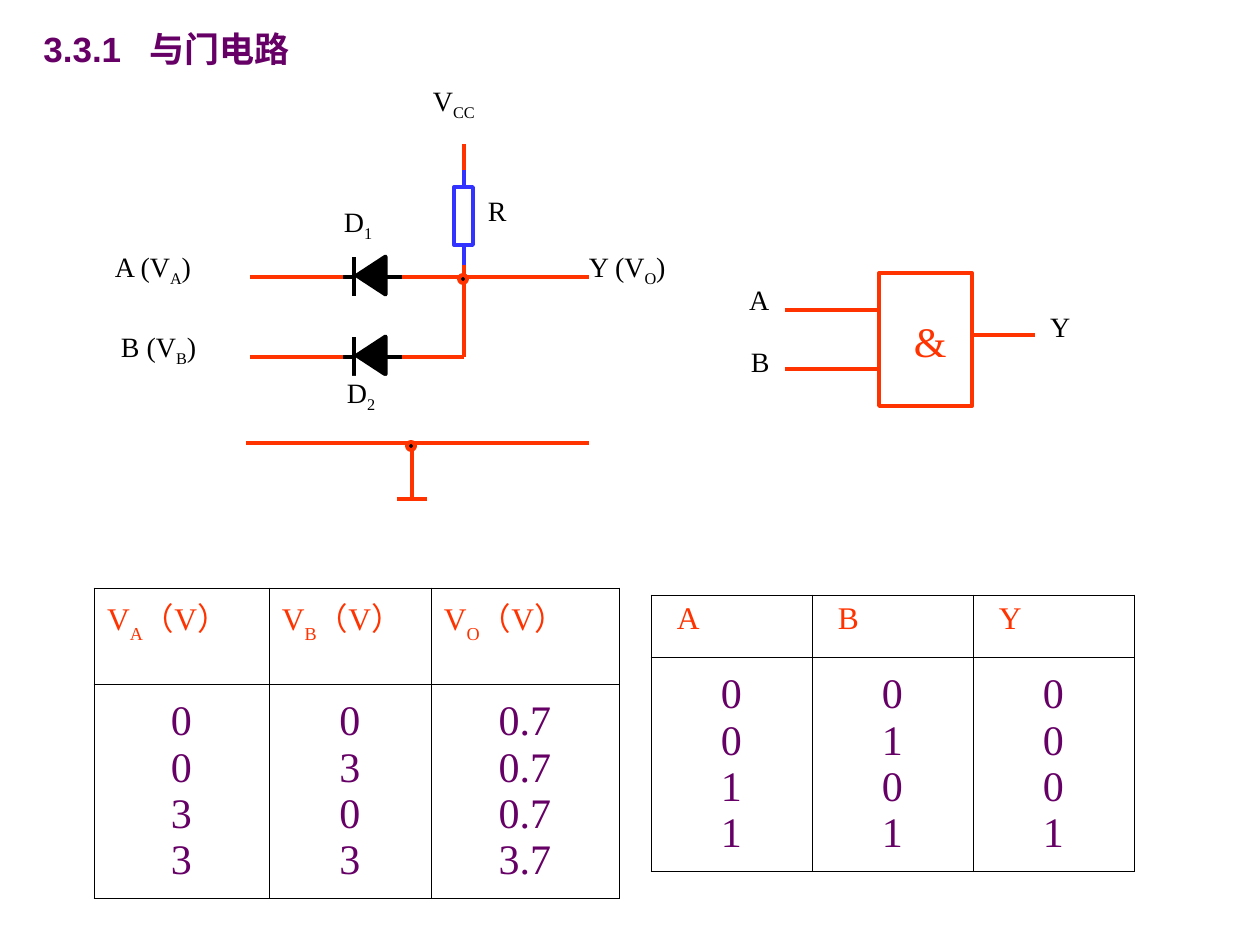
from lxml import etree
from pptx import Presentation
from pptx import util as u
from pptx.dml import color
from pptx.enum import shapes, text
from pptx.oxml import ns

PX = 914400 / 126
RED, BLUE, BLACK, WHITE, PLUM = "FF3300", "3333FF", "000000", "FFFFFF", "660066"
KIND = shapes.MSO_SHAPE
paint = color.RGBColor.from_string


def write(para, words, size, hue, face="Times New Roman", bold=False, drop=-25000):
    for i, part in enumerate(words.split("_")):
        run = para.add_run()
        run.text = part
        look = {"size": u.Pt(size), "name": face, "bold": bold}
        for key, val in look.items():
            setattr(run.font, key, val)
        run.font.color.rgb = paint(hue)
        if i % 2:
            run._r.get_or_add_rPr().set("baseline", str(drop))


def place(parts):
    for kind, box, fill, edge, words, size, hue in parts:
        item = slide.shapes.add_shape(kind, *[round(n * PX) for n in box])
        item.shadow.inherit = False
        item.fill.solid()
        item.fill.fore_color.rgb = paint(fill)
        if edge:
            item.line.color.rgb = paint(edge)
            item.line.width = u.Pt(2.24)
        else:
            item.line.fill.background()
        if kind == KIND.ISOSCELES_TRIANGLE:
            item.rotation = 270
        if words:
            frame = item.text_frame
            setup = {"margin_left": 0, "margin_right": 0, "margin_top": 0, "margin_bottom": 0,
                     "word_wrap": True, "vertical_anchor": text.MSO_ANCHOR.TOP}
            for key, val in setup.items():
                setattr(frame, key, val)
            frame.paragraphs[0].alignment = text.PP_ALIGN.JUSTIFY
            write(frame.paragraphs[0], words, size, hue)


deck = Presentation()
deck.slide_width, deck.slide_height = u.Inches(10), u.Inches(7.5)
slide = deck.slides.add_slide(deck.slide_layouts[6])

title = slide.shapes.add_textbox(*[round(n * PX) for n in (31, 21, 305, 55)])
title.text_frame.word_wrap = True
head = title.text_frame.paragraphs[0]
write(head, "3.3.1\t与门电路", 20, PLUM, "Arial", True)
tabs = etree.SubElement(head._p.get_or_add_pPr(), ns.qn("a:tabLst"))
etree.SubElement(tabs, ns.qn("a:tab"), pos=str(round(106 * PX)), algn="l")

labels = [
    ("V_CC_", 433, 84, 62), ("R", 488, 194, 63), ("D_1_", 344, 205, 63),
    ("A (V_A_)", 115, 250, 125), ("B (V_B_)", 121, 330, 125), ("Y (V_O_)", 589, 250, 125),
    ("A", 749, 283, 32), ("B", 751, 345, 32), ("Y", 1050, 310, 32),
]
place([
    (KIND.RECTANGLE, (879, 273, 93, 133), WHITE, RED, "", 0, RED),
    (KIND.RECTANGLE, (914, 315, 32, 81), WHITE, None, "&", 24, RED),
    (KIND.RECTANGLE, (454, 187, 19, 58), WHITE, BLUE, "", 0, BLUE),
])
place([(KIND.RECTANGLE, (x, y, w, 53), WHITE, None, words, 16, BLACK)
       for words, x, y, w in labels])

wires = [
    (250, 277, 344, 277, RED), (250, 357, 344, 357, RED),
    (402, 277, 589, 277, RED), (402, 357, 464, 357, RED),
    (464, 357, 464, 251, RED), (464, 245, 464, 265, BLUE),
    (464, 187, 464, 168, BLUE), (464, 170, 464, 144, RED),
    (246, 443, 589, 443, RED), (412, 445, 412, 499, RED), (397, 499, 427, 499, RED),
    (785, 310, 879, 310, RED), (785, 369, 879, 369, RED), (972, 335, 1035, 335, RED),
]
for y in (277, 357):
    wires += [(384, y, 402, y, BLACK), (354, y, 343, y, BLACK),
              (354, y + 19, 354, y - 20, BLACK)]
for x1, y1, x2, y2, hue in wires:
    wire = slide.shapes.add_connector(shapes.MSO_CONNECTOR.STRAIGHT,
                                      *[round(n * PX) for n in (x1, y1, x2, y2)])
    wire.line.color.rgb = paint(hue)
    wire.line.width = u.Pt(2.24)
    etree.SubElement(wire._element.spPr, ns.qn("a:effectLst"))

place([(KIND.ISOSCELES_TRIANGLE, (352, y - 16, 38, 29), BLACK, BLACK, "", 0, BLACK)
       for y in (277, 357)])
place([(KIND.OVAL, (x, y, 8, 8), BLACK, RED, "", 0, RED)
       for x, y in ((459, 275), (407, 442))])
place([(KIND.RECTANGLE, (347, 376, 63, 53), WHITE, None, "D_2_", 16, BLACK)])

grids = [
    (94, 588, (175, 162, 188), (96, 214), 13,
     ("V_A_（V）", "V_B_（V）", "V_O_（V）"), ("0 0 3 3", "0 3 0 3", "0.7 0.7 0.7 3.7")),
    (651, 595, (161, 161, 161), (62, 214), 26,
     ("A", "B", "Y"), ("0 0 1 1", "0 1 0 1", "0 0 0 1")),
]
for x, y, cols, rows, inset, heads, bodies in grids:
    grid = slide.shapes.add_table(2, 3, *[round(n * PX) for n in (x, y, sum(cols), sum(rows))]).table
    grid.first_row = grid.horz_banding = False
    for row, high in zip(grid.rows, rows):
        row.height = round(high * PX)
    for c, wide in enumerate(cols):
        grid.columns[c].width = round(wide * PX)
        top, body = grid.cell(0, c), grid.cell(1, c)
        top.margin_left = round(inset * PX)
        write(top.text_frame.paragraphs[0], heads[c], 18, RED, drop=-30000)
        body.vertical_anchor = text.MSO_ANCHOR.MIDDLE
        for i, value in enumerate(bodies[c].split()):
            para = body.text_frame.add_paragraph() if i else body.text_frame.paragraphs[0]
            para.alignment = text.PP_ALIGN.CENTER
            write(para, value, 24, PLUM)
        for cell in (top, body):
            cell.fill.background()
            props = cell._tc.get_or_add_tcPr()
            for i, side in enumerate(("lnL", "lnR", "lnT", "lnB")):
                edge = etree.Element(ns.qn("a:" + side), w="5715")
                fill = etree.SubElement(edge, ns.qn("a:solidFill"))
                etree.SubElement(fill, ns.qn("a:srgbClr"), val=BLACK)
                props.insert(i, edge)

deck.save("out.pptx")
